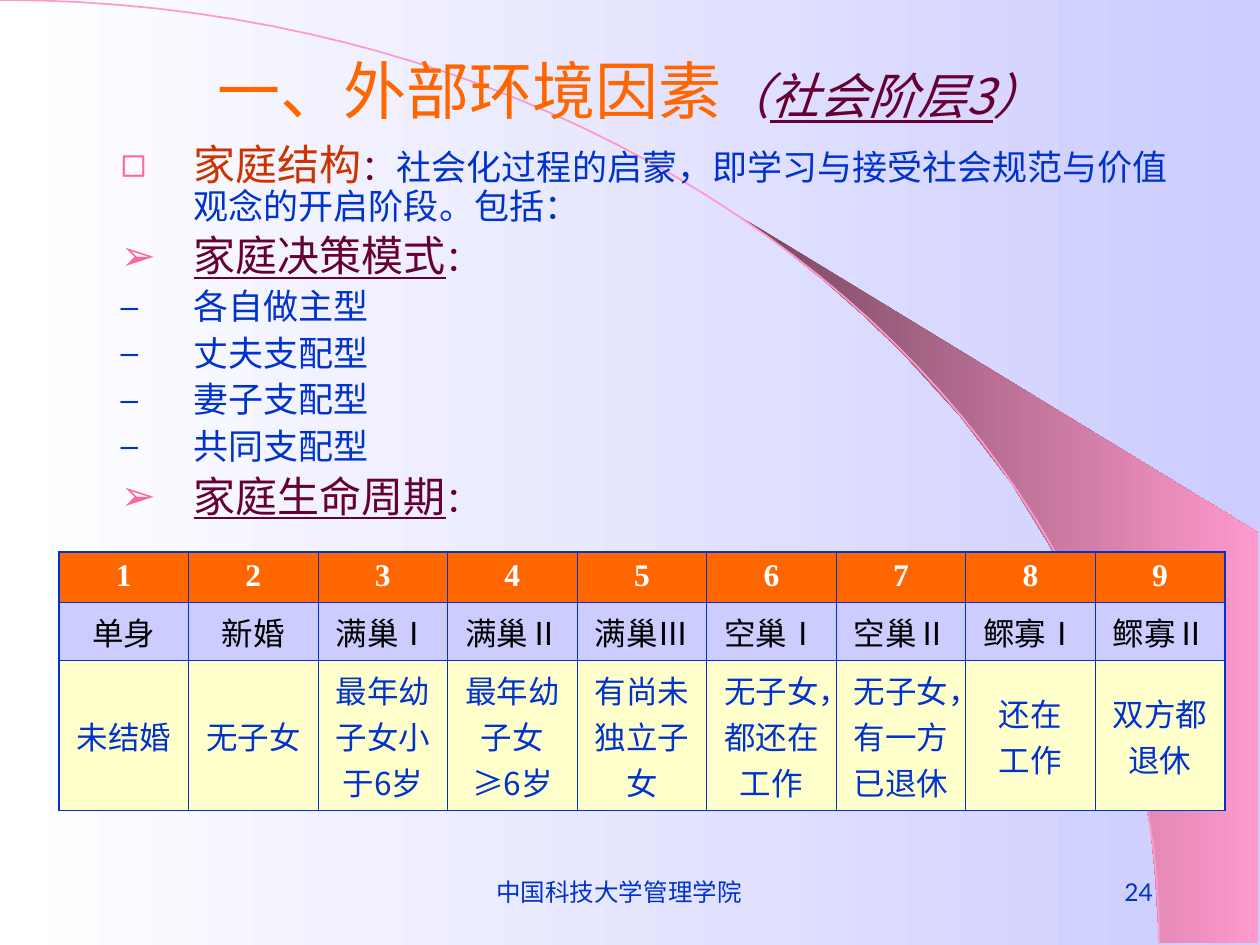
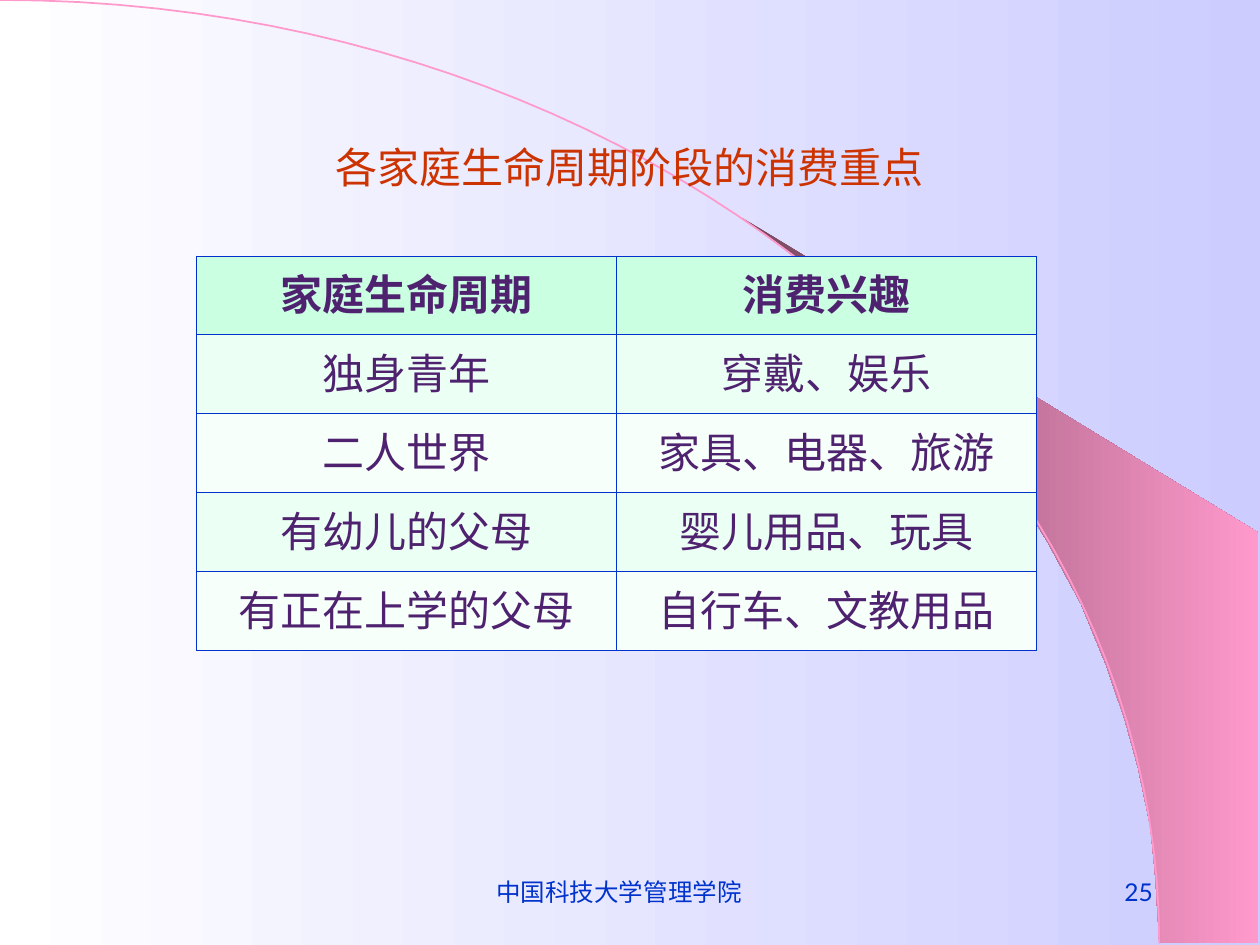
from pptx import Presentation
from pptx.dml.color import RGBColor
from pptx.enum.lang import MSO_LANGUAGE_ID
from pptx.enum.text import MSO_ANCHOR, MSO_AUTO_SIZE, PP_ALIGN
from pptx.oxml.ns import qn
from pptx.util import Cm, Pt
from lxml.etree import SubElement

# Shared colours and fonts
WHITE = RGBColor(0xFF, 0xFF, 0xFF)
BLACK = RGBColor(0x00, 0x00, 0x00)
LAVENDER = RGBColor(0xCC, 0xCC, 0xFF)
PINK = RGBColor(0xFF, 0x99, 0xCC)
PLUM = RGBColor(0x76, 0x47, 0x5E)
ORANGE = RGBColor(0xFF, 0x66, 0x00)
WINE = RGBColor(0x66, 0x00, 0x33)
RUST = RGBColor(0xCC, 0x33, 0x00)
BLUE = RGBColor(0x00, 0x33, 0xCC)
ROSE = RGBColor(0xFF, 0x66, 0x99)
CREAM = RGBColor(0xFF, 0xFF, 0xCC)
PURPLE = RGBColor(0x4F, 0x22, 0x70)
MINT = RGBColor(0xCA, 0xFF, 0xE2)
PALE_MINT = RGBColor(0xEC, 0xFF, 0xF4)
FAINT_MINT = RGBColor(0xF6, 0xFF, 0xFA)

CJK = "Noto Sans CJK SC"
LATO = "Lato"
TIMES = "Times New Roman"

THIN, THICK = Pt(0.45), Pt(1.08)

# Sweeping band, in centimetres
RIBBON = [(23.37, 19.0), (25.37, 19.02), (25.37, 10.74), (14.96, 4.39),
          (15.85, 5.05), (16.59, 5.64), (17.4, 6.35), (18.19, 7.11),
          (19.35, 8.38), (20.4, 9.75), (21.13, 10.95), (21.79, 12.17),
          (22.3, 13.41), (22.68, 14.53), (22.94, 15.47), (23.19, 16.66),
          (23.29, 17.68)]
ARC_CONTROLS = [(0, 0), (12.9, 0), (23.37, 8.51), (23.37, 19.02)]
ARC_STEPS = 48

# Slide content
LIFE_CYCLE = [
    [str(n) for n in range(1, 10)],
    ["单身", "新婚", "满巢Ⅰ", "满巢Ⅱ", "满巢Ⅲ", "空巢Ⅰ", "空巢Ⅱ", "鳏寡Ⅰ", "鳏寡Ⅱ"],
    ["未结婚", "无子女", "最年幼子女小于6岁", "最年幼子女≥6岁", "有尚未独立子女",
     "无子女，都还在工作", "无子女，有一方已退休", "还在\n工作", "双方都退休"],
]
INTERESTS = [
    ["家庭生命周期", "消费兴趣"],
    ["独身青年", "穿戴、娱乐"],
    ["二人世界", "家具、电器、旅游"],
    ["有幼儿的父母", "婴儿用品、玩具"],
    ["有正在上学的父母", "自行车、文教用品"],
]
DECISION_TYPES = ["各自做主型", "丈夫支配型", "妻子支配型", "共同支配型"]


def add_run(p, text, size, color, font=CJK, bold=False, italic=False, underline=False):
    r = p.add_run()
    r.text = text
    f = r.font
    f.size, f.name = Pt(size), font
    f.bold, f.italic, f.underline = bold, italic, underline
    f.color.rgb = color
    f.language_id = MSO_LANGUAGE_ID.SIMPLIFIED_CHINESE
    SubElement(f._element, qn("a:ea"), typeface=CJK)


def set_gradient(fill, start, end):
    fill.gradient()
    fill.gradient_angle = 0
    for stop, color in zip(fill.gradient_stops, (start, end)):
        stop.color.rgb = color


def place(sp, box):
    sp.left, sp.top, sp.width, sp.height = (Cm(v) for v in box)


def bezier_point(t):
    weights = ((1 - t) ** 3, 3 * t * (1 - t) ** 2, 3 * t ** 2 * (1 - t), t ** 3)
    return tuple(sum(w * c[axis] for w, c in zip(weights, ARC_CONTROLS))
                 for axis in (0, 1))


def add_outline(s, points, closed):
    points = [(Cm(x), Cm(y)) for x, y in points]
    builder = s.shapes.build_freeform(*points[0])
    builder.add_line_segments(points[1:], close=closed)
    sp = builder.convert_to_shape()
    sp.shadow.inherit = False
    return sp


def draw_band(s):
    ribbon = add_outline(s, RIBBON, True)
    set_gradient(ribbon.fill, PLUM, PINK)
    ribbon.line.fill.background()
    arc = add_outline(s, [bezier_point(i / ARC_STEPS) for i in range(ARC_STEPS + 1)], False)
    arc.fill.background()
    arc.line.color.rgb = PINK
    arc.line.width = Pt(1)
    # Keep the band behind the placeholders
    tree = s.shapes._spTree
    for index, sp in enumerate((ribbon, arc), start=2):
        tree.insert(index, sp._element)


def add_footer_text(s, box, text, align):
    sp = s.shapes.add_textbox(*(Cm(v) for v in box))
    tf = sp.text_frame
    tf.word_wrap = True
    tf.vertical_anchor = MSO_ANCHOR.MIDDLE
    p = tf.paragraphs[0]
    p.alignment = align
    add_run(p, text, 14, BLUE, LATO)
    return sp


def new_slide(prs, layout, number):
    s = prs.slides.add_slide(prs.slide_layouts[layout])
    draw_band(s)
    school = add_footer_text(s, (8.69, 17.35, 8.05, 1.27), "中国科技大学管理学院", PP_ALIGN.CENTER)
    school.text_frame.margin_right = Cm(0.72)
    add_footer_text(s, (18.21, 17.35, 5.28, 1.27), str(number), PP_ALIGN.RIGHT)
    return s


def fill_title(s, top):
    title = s.shapes.title
    place(title, (1.9, top, 21.59, 2.77))
    tf = title.text_frame
    tf.auto_size = MSO_AUTO_SIZE.NONE
    tf.vertical_anchor = MSO_ANCHOR.MIDDLE
    p = tf.paragraphs[0]
    p.alignment = PP_ALIGN.CENTER
    return p


def set_bullet(p, char, color, percent):
    pPr = p._p.get_or_add_pPr()
    pPr.set("marL", str(Cm(1.47)))
    pPr.set("indent", str(-Cm(1.47)))
    clr = SubElement(pPr, qn("a:buClr"))
    SubElement(clr, qn("a:srgbClr"), val=str(color))
    SubElement(pPr, qn("a:buSzPct"), val=str(percent * 1000))
    SubElement(pPr, qn("a:buChar"), char=char)


def fill_outline(body, box):
    place(body, box)
    tf = body.text_frame
    tf.auto_size = MSO_AUTO_SIZE.NONE

    def add_item(char, color=ROSE, percent=100):
        first = not tf.paragraphs[0].runs
        p = tf.paragraphs[0] if first else tf.add_paragraph()
        set_bullet(p, char, color, percent)
        p.line_spacing = 0.9
        p.space_before = Pt(0 if first else 5)
        return p

    def add_heading(text):
        p = add_item("➢")
        add_run(p, text, 24, WINE, underline=True)
        add_run(p, "：", 20, WINE)

    p = add_item("◻")
    add_run(p, "家庭结构", 24, RUST)
    add_run(p, "：", 20, WINE)
    add_run(p, "社会化过程的启蒙，即学习与接受社会规范与价值观念的开启阶段。包括：", 20, BLUE)
    add_heading("家庭决策模式")
    for decision_type in DECISION_TYPES:
        add_run(add_item("–", BLUE, 90), decision_type, 20, BLUE)
    add_heading("家庭生命周期")


def set_borders(cell, widths):
    tcPr = cell._tc.get_or_add_tcPr()
    for side, width in zip("LRTB", widths):
        ln = SubElement(tcPr, qn("a:ln" + side), w=str(width))
        fill = SubElement(ln, qn("a:solidFill"))
        SubElement(fill, qn("a:srgbClr"), val=str(BLUE))


def add_grid(s, box, rows, heights, styles, outer):
    """Each style is (fill, anchor, run settings) for one row."""
    n_rows, n_cols = len(rows), len(rows[0])
    table = s.shapes.add_table(n_rows, n_cols, *(Cm(v) for v in box)).table
    table.first_row = table.horz_banding = False
    for i, (texts, height, (fill, anchor, run)) in enumerate(zip(rows, heights, styles)):
        table.rows[i].height = Cm(height)
        for j, text in enumerate(texts):
            cell = table.cell(i, j)
            edges = (j == 0, j == n_cols - 1, i == 0, i == n_rows - 1)
            set_borders(cell, [outer if edge else THIN for edge in edges])
            cell.fill.solid()
            cell.fill.fore_color.rgb = fill
            cell.vertical_anchor = anchor
            p = cell.text_frame.paragraphs[0]
            p.alignment = PP_ALIGN.CENTER
            for k, line in enumerate(text.split("\n")):
                if k:
                    p.add_line_break()
                add_run(p, line, **run)


def build_social_class(prs):
    s = new_slide(prs, 1, 24)
    p = fill_title(s, 0.41)
    add_run(p, "一、外部环境因素", 36, ORANGE)
    add_run(p, "（", 28, WINE, italic=True)
    add_run(p, "社会阶层3", 28, WINE, italic=True, underline=True)
    add_run(p, "）", 28, WINE, italic=True)
    fill_outline(s.placeholders[1], (2.18, 2.77, 22.1, 8.53))
    styles = [
        (ORANGE, MSO_ANCHOR.TOP, dict(size=18, color=WHITE, font=TIMES, bold=True)),
        (LAVENDER, MSO_ANCHOR.MIDDLE, dict(size=18, color=BLACK)),
        (CREAM, MSO_ANCHOR.MIDDLE, dict(size=18, color=BLUE)),
    ]
    add_grid(s, (1.19, 11.13, 23.5, 5.21), LIFE_CYCLE, (1.02, 1.17, 3.02), styles, THICK)


def build_interests(prs):
    s = new_slide(prs, 5, 25)
    add_run(fill_title(s, 1.98), "各家庭生命周期阶段的消费重点", 24, RUST)
    fills = [MINT] + [PALE_MINT, FAINT_MINT] * 2
    styles = [(fill, MSO_ANCHOR.TOP, dict(size=24, color=PURPLE, bold=fill == MINT))
              for fill in fills]
    add_grid(s, (3.96, 5.16, 16.94, 7.95), INTERESTS, [1.59] * 5, styles, THIN)


def main():
    prs = Presentation()
    prs.slide_width, prs.slide_height = Cm(25.4), Cm(19.05)
    set_gradient(prs.slide_master.background.fill, WHITE, LAVENDER)
    build_social_class(prs)
    build_interests(prs)
    prs.save("out.pptx")


if __name__ == "__main__":
    main()
